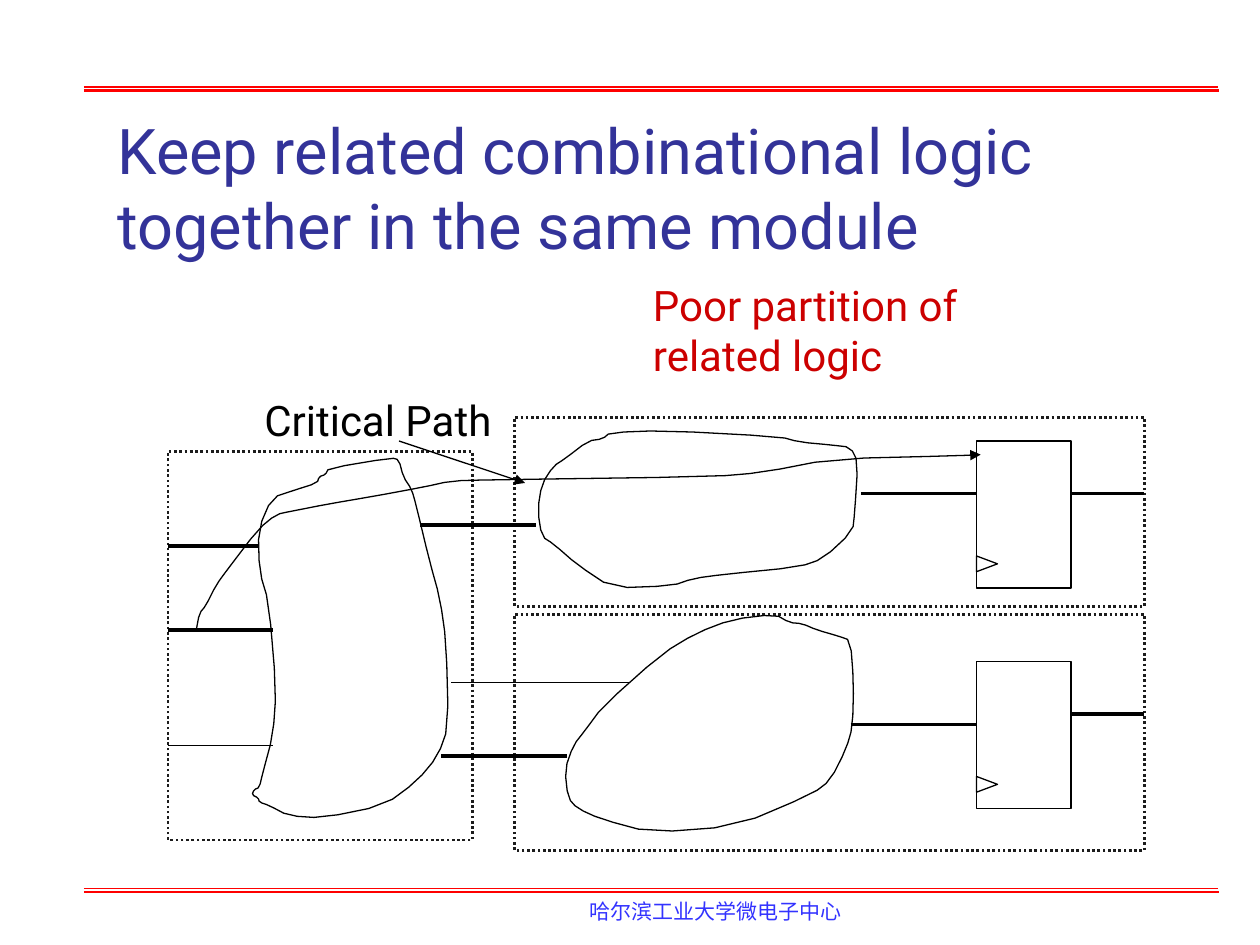
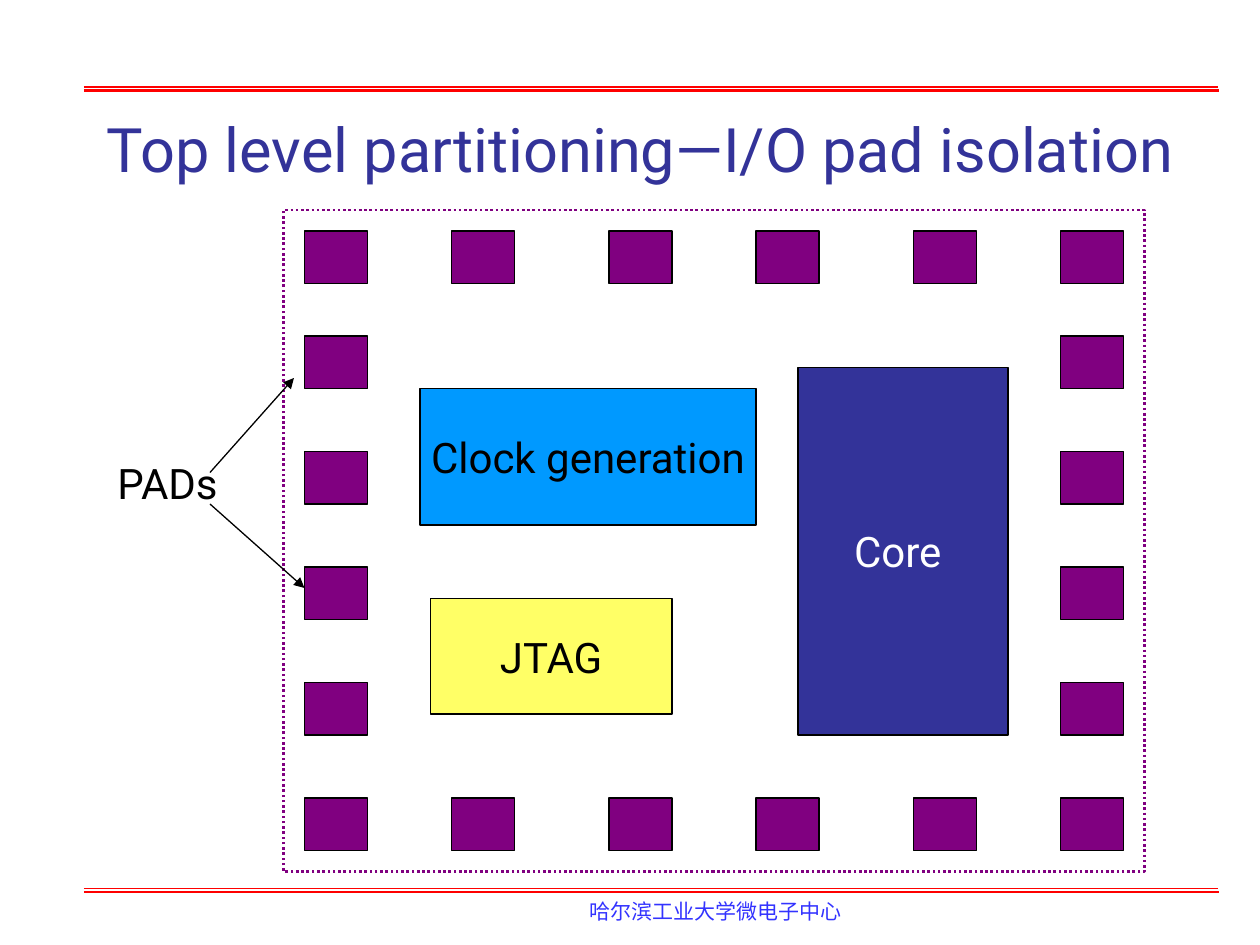
"""Build two slides on partitioning a chip design: related logic and pad isolation."""
import itertools

import pptx
import pptx.dml.color
import pptx.enum.dml
import pptx.enum.shapes
import pptx.enum.text
import pptx.oxml.ns
import pptx.util
from lxml import etree

COLORS = {
    "band": "FF0000", "footer": "3333FF", "title": "333399", "warning": "CC0000",
    "ink": "000000", "module": "1C1C1C", "pad": "800080", "core": "333399",
    "clock": "0099FF", "jtag": "FFFF66", "white": "FFFFFF",
}
COLORS = {name: pptx.dml.color.RGBColor.from_string(code) for name, code in COLORS.items()}
BODY_FONT = "Roboto"
FOOTER_FONT = "DejaVu Sans"
THIN, MEDIUM, THICK = 0.75, 1.5, 2.25
RECTANGLE = pptx.enum.shapes.MSO_SHAPE.RECTANGLE
TRIANGLE = pptx.enum.shapes.MSO_SHAPE.ISOSCELES_TRIANGLE

presentation = pptx.Presentation()
presentation.slide_width = pptx.util.Inches(10)
presentation.slide_height = pptx.util.Inches(7.5)
COLUMNS = 120
UNIT = presentation.slide_width // COLUMNS


def add_box(slide, place, line, width=THIN, fill=None, dotted=False, kind=RECTANGLE):
    """Add a preset shape at (column, row, columns, rows)."""
    shape = slide.shapes.add_shape(kind, *(round(value * UNIT) for value in place))
    shape.shadow.inherit = False
    if fill:
        shape.fill.solid()
        shape.fill.fore_color.rgb = COLORS[fill]
    else:
        shape.fill.background()
    shape.line.color.rgb = COLORS[line]
    shape.line.width = pptx.util.Pt(width)
    if dotted:
        shape.line.dash_style = pptx.enum.dml.MSO_LINE.ROUND_DOT
    return shape


def add_path(slide, points, line="ink", width=THIN, arrow=False, closed=False):
    """Add a straight connector for two points, or a freeform for more."""
    points = [(round(column * UNIT), round(row * UNIT)) for column, row in points]
    if len(points) == 2:
        shape = slide.shapes.add_connector(
            pptx.enum.shapes.MSO_CONNECTOR.STRAIGHT, *points[0], *points[1])
        etree.SubElement(shape._element.spPr, pptx.oxml.ns.qn("a:effectLst"))
    else:
        builder = slide.shapes.build_freeform(*points[0])
        builder.add_line_segments(points[1:], close=closed)
        shape = builder.convert_to_shape()
        shape.shadow.inherit = False
        shape.fill.background()
    shape.line.color.rgb = COLORS[line]
    shape.line.width = pptx.util.Pt(width)
    if arrow:
        outline = shape._element.spPr.find(pptx.oxml.ns.qn("a:ln"))
        etree.SubElement(outline, pptx.oxml.ns.qn("a:tailEnd"), type="triangle")


blank_layout = presentation.slide_layouts[6]
logic_slide = presentation.slides.add_slide(blank_layout)
pad_slide = presentation.slides.add_slide(blank_layout)

for slide in (logic_slide, pad_slide):
    for row in (8.3, 84.6):
        add_path(slide, [(8, row), (116, row)], "band", THIN)
        add_path(slide, [(8, row + 0.35), (116.1, row + 0.35)], "band", MEDIUM)

for module in ((16, 43, 29, 37), (49, 39.75, 60, 18), (49, 58.5, 60, 22.5)):
    add_box(logic_slide, module, "module", MEDIUM, dotted=True)

for register_row in (42, 63):
    add_box(logic_slide, (93, register_row, 9, 14), "ink")
    clock_input = add_box(logic_slide, (93.25, register_row + 10.7, 1.5, 2), "ink", kind=TRIANGLE)
    clock_input.rotation = 90

wires = [
    (82, 93, 47, THICK), (81, 93, 69, THICK), (102, 109, 47, THICK), (102, 109, 68, THICK),
    (42, 54, 72, THICK), (43, 60, 65, THIN), (40, 51, 50, THICK),
    (16, 24.7, 52, THICK), (16, 26, 60, THICK), (16, 26, 71, THIN),
]
for start, end, row, width in wires:
    add_path(logic_slide, [(start, row), (end, row)], width=width)

input_cloud = [
    (30.2, 46), (28, 46.7), (25.9, 47.4), (24.6, 50.4), (24.7, 54.4), (25.6, 57.4),
    (26.3, 65.7), (26, 70), (25, 73.7), (24.7, 75), (24.2, 75.2), (24, 75.7), (24.6, 76),
    (24.7, 76.4), (25.6, 76.7), (27.5, 77.7), (30.7, 77.9), (36.6, 76.7), (39.7, 74.4),
    (41.7, 72), (42.7, 69.2), (42.5, 61.2), (41.9, 57), (40.9, 53.4), (39.6, 48),
    (39.2, 46.6), (38.4, 45.4), (38, 43.8), (37.3, 43.6), (31.3, 44.6), (31, 45.2), (30.4, 45.4),
]
upper_cloud = [
    (74.3, 41.6), (63.2, 41), (58.1, 41.2), (57.4, 41.8), (56, 42), (53.8, 43.7),
    (52.7, 44.4), (51.6, 46.1), (51.2, 48.6), (51.6, 51.1), (52.7, 51.8), (55, 53.8),
    (58.3, 56), (64, 55.8), (66, 55.1), (69, 54.7), (76.1, 54), (78.4, 53.2),
    (81.2, 50.6), (81.4, 48.8), (81.7, 44), (81, 42.6), (79.3, 42.4), (76.1, 42.1),
]
lower_cloud = [
    (69.7, 59), (66.3, 60.3), (63, 62.3), (57.4, 67.3), (55.7, 69.6), (54.6, 71), (53.8, 73.3),
    (54.1, 76), (55, 77), (57.2, 78), (62, 79.3), (70.1, 78.7), (77.4, 75.6), (79.1, 74.3),
    (80.6, 71.3), (81.2, 69.2), (81.3, 65), (81, 61), (79.9, 60.6), (77.8, 60),
    (76.4, 59.4), (75.2, 59.3), (73.8, 58.5),
]
critical_path = [
    (18.7, 60), (19, 58.4), (19.6, 57.7), (20.6, 55.7), (21.7, 54.2), (24.6, 50.4),
    (26.3, 49), (27.7, 48.7), (31.3, 48), (35.4, 47.3), (40.3, 46.4), (43, 45.8),
    (46.6, 45.7), (67.9, 45.4), (72.6, 45), (79.3, 43.7), (91.3, 43.4), (93.4, 43.3),
]
for outline, closed in ((input_cloud, True), (upper_cloud, True),
                        (lower_cloud, True), (critical_path, False)):
    ends = outline[1:] + outline[:1] if closed else outline[1:]
    smooth = [(x1 + (x2 - x1) * share, y1 + (y2 - y1) * share)
              for (x1, y1), (x2, y2) in zip(outline, ends) for share in (0.25, 0.75)]
    if not closed:
        smooth = [outline[0], *smooth, outline[-1]]
    add_path(logic_slide, smooth, arrow=not closed, closed=closed)
add_path(logic_slide, [(38, 42), (50, 46)], arrow=True)

add_box(pad_slide, (27, 20, 82, 63), "pad", MEDIUM, dotted=True)
pad_columns = (29, 43, 58, 72, 87, 101)
pad_rows = (22, 32, 43, 54, 65, 76)
for column, row in itertools.product(pad_columns, pad_rows):
    if column in (pad_columns[0], pad_columns[-1]) or row in (pad_rows[0], pad_rows[-1]):
        add_box(pad_slide, (column, row, 6, 5), "ink", fill="pad")

blocks = [
    ("Core ", (76, 35, 20, 35), "core", "white"),
    ("Clock generation", (40, 37, 32, 13), "clock", "ink"),
    ("JTAG", (41, 57, 23, 11), "jtag", "ink"),
]
for text, place, fill, color in blocks:
    block = add_box(pad_slide, place, "ink", fill=fill)
    frame = block.text_frame
    frame.word_wrap = False
    frame.vertical_anchor = pptx.enum.text.MSO_ANCHOR.MIDDLE
    paragraph = frame.paragraphs[0]
    paragraph.text = text
    paragraph.alignment = pptx.enum.text.PP_ALIGN.CENTER
    paragraph.font.name = BODY_FONT
    paragraph.font.size = pptx.util.Pt(24)
    paragraph.font.color.rgb = COLORS[color]

for start, end in (((20, 45), (28, 36)), ((20, 48), (29, 56))):
    add_path(pad_slide, [start, end], arrow=True)

footer = ("哈尔滨工业大学微电子中心", (55, 85, 27, 3.6), 12, "footer", FOOTER_FONT)
labels = [
    (logic_slide, *footer),
    (pad_slide, *footer),
    (logic_slide, "Keep related combinational logic together in the same module",
     (10, 10, 100, 15.6), 36, "title", BODY_FONT),
    (logic_slide, "Poor partition of related logic", (61, 26, 44, 10.8), 24, "warning", BODY_FONT),
    (logic_slide, "Critical Path", (24, 37, 25, 6), 24, "ink", BODY_FONT),
    (pad_slide, "Top level partitioning—I/O pad isolation",
     (9, 10, 108, 8), 35, "title", BODY_FONT),
    (pad_slide, "PADs", (10, 43, 12, 6), 24, "ink", BODY_FONT),
]
for slide, text, place, size, color, font in labels:
    label = slide.shapes.add_textbox(*(round(value * UNIT) for value in place))
    label.text_frame.word_wrap = True
    paragraph = label.text_frame.paragraphs[0]
    paragraph.text = text
    paragraph.font.name = font
    paragraph.font.size = pptx.util.Pt(size)
    paragraph.font.color.rgb = COLORS[color]

presentation.save("out.pptx")
